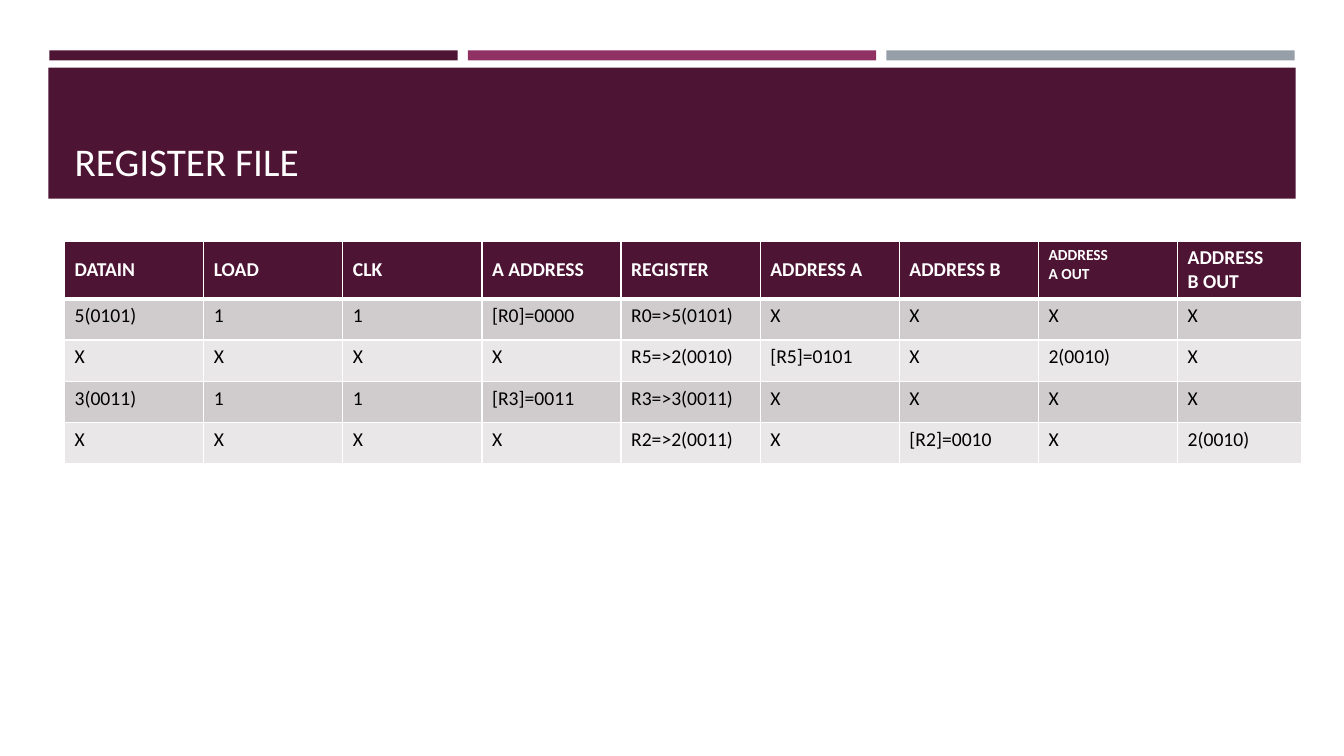
from dataclasses import dataclass

from lxml.etree import SubElement
from pptx import Presentation
from pptx.dml.color import RGBColor
from pptx.enum.shapes import MSO_SHAPE as Shape
from pptx.enum.text import MSO_ANCHOR as Anchor, PP_ALIGN as Align
from pptx.oxml.ns import qn
from pptx.util import Inches, Pt

PLUM, MAGENTA, GREY = "4D1434", "903163", "969FA7"
WHITE, BLACK = "FFFFFF", "000000"
ROW_FILLS = ("D0CCCE", "E9E7E8")

COLUMN_WIDTHS = [1.38] * 8 + [1.23]
ROW_HEIGHT = 0.41
HEADINGS = ["DATAIN", "LOAD", "CLK", "A ADDRESS", "REGISTER",
            "ADDRESS A", "ADDRESS B", "ADDRESS\nA OUT", "ADDRESS\nB OUT"]
OPERATIONS = [
    ["5(0101)", "1", "1", "[R0]=0000", "R0=>5(0101)", "X", "X", "X", "X"],
    ["X", "X", "X", "X", "R5=>2(0010)", "[R5]=0101", "X", "2(0010)", "X"],
    ["3(0011)", "1", "1", "[R3]=0011", "R3=>3(0011)", "X", "X", "X", "X"],
    ["X", "X", "X", "X", "R2=>2(0011)", "X", "[R2]=0010", "X", "2(0010)"],
]


@dataclass
class Band:
    left: float
    top: float
    width: float
    height: float
    color: str


BANDS = [Band(0.49 + 4.15 * i, 0.5, 4.05, 0.1, color)
         for i, color in enumerate((PLUM, MAGENTA, GREY))]
BANDS.append(Band(0.48, 0.67, 12.37, 1.3, PLUM))


def set_fill(target, color: str) -> None:
    target.fill.solid()
    target.fill.fore_color.rgb = RGBColor.from_string(color)


def write_text(frame, text: str, *, size: float = 14, color: str = BLACK,
               bold: bool = False) -> None:
    frame.text = text
    for paragraph in frame.paragraphs:
        paragraph.alignment = Align.LEFT
        for run in paragraph.runs:
            font = run.font
            font.name, font.size, font.bold = "Calibri", Pt(size), bold
            font.color.rgb = RGBColor.from_string(color)


def add_band(slide, band: Band) -> None:
    """Draw a colour band behind the title."""
    bar = slide.shapes.add_shape(
        Shape.RECTANGLE, Inches(band.left), Inches(band.top),
        Inches(band.width), Inches(band.height))
    set_fill(bar, band.color)
    bar.line.fill.background()
    bar.shadow.inherit = False
    slide.shapes.title.element.addprevious(bar.element)


def set_borders(cell, **widths: float) -> None:
    """Add white borders; call before the fill, which must follow them."""
    properties = cell._tc.get_or_add_tcPr()
    for edge, width in widths.items():
        line = SubElement(properties, qn(f"a:ln{edge}"), w=str(Pt(width)))
        solid = SubElement(line, qn("a:solidFill"))
        SubElement(solid, qn("a:srgbClr"), val=WHITE)


def add_title(slide, text: str) -> None:
    title = slide.shapes.title
    title.left, title.top = Inches(0.64), Inches(0.77)
    title.width, title.height = Inches(12.06), Inches(1.11)
    title.text_frame.vertical_anchor = Anchor.BOTTOM
    write_text(title.text_frame, text, size=28, color=WHITE)


def add_register_table(slide) -> None:
    rows = [HEADINGS, *OPERATIONS]
    table = slide.shapes.add_table(
        len(rows), len(HEADINGS), Inches(0.64), Inches(2.39),
        Inches(sum(COLUMN_WIDTHS)), Inches(ROW_HEIGHT * len(rows))).table
    for column, width in zip(table.columns, COLUMN_WIDTHS):
        column.width = Inches(width)
    for r, values in enumerate(rows):
        table.rows[r].height = Inches(ROW_HEIGHT)
        header = r == 0
        for c, value in enumerate(values):
            cell = table.cell(r, c)
            set_borders(cell, L=1, R=1, T=3 if r == 1 else 1, B=3 if header else 1)
            set_fill(cell, PLUM if header else ROW_FILLS[(r - 1) % 2])
            centred = header and "\n" not in value
            cell.vertical_anchor = Anchor.MIDDLE if centred else Anchor.TOP
            write_text(cell.text_frame, value, bold=header,
                       size=11 if value == "ADDRESS\nA OUT" else 14,
                       color=WHITE if header else BLACK)


def main() -> None:
    deck = Presentation()
    deck.slide_width, deck.slide_height = Inches(13.33), Inches(7.5)
    slide = deck.slides.add_slide(deck.slide_layouts.get_by_name("Title Only"))

    # Header bands and title
    for band in BANDS:
        add_band(slide, band)
    add_title(slide, "REGISTER FILE")

    # Register operations
    add_register_table(slide)
    deck.save("out.pptx")


if __name__ == "__main__":
    main()
